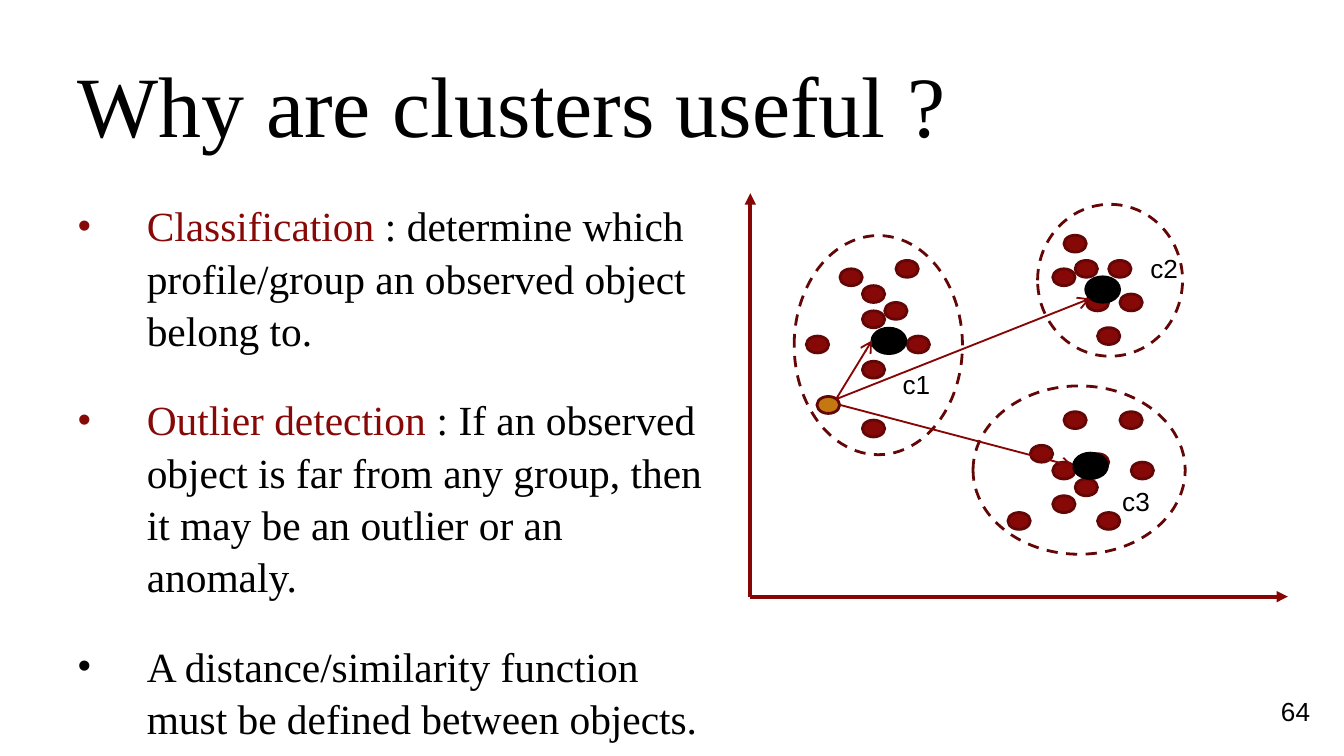
from typing import NamedTuple

from lxml import etree
from pptx import Presentation
from pptx import util as u
from pptx.dml.color import RGBColor
from pptx.enum import dml, shapes, text
from pptx.oxml.ns import qn

HUES = {"ink": "000000", "red": "860908", "dark": "630706", "line": "860605", "gold": "C47810"}
SERIF, SANS = "Times New Roman", "Arial"


class Box(NamedTuple):
    left: float
    top: float
    wide: float
    high: float


class Group(NamedTuple):
    name: str
    ring: Box
    core: Box
    label: Box
    start: tuple[float, float]
    end: tuple[float, float]
    dots: list[tuple[int, int]]


LEFT, TOP = 14.18, 3.65
COL, ROW, CELLS = 2.54 / 12, 2.54 / 16, 48
SEEN = Box(15.44, 7.49, 0.43, 0.32)

GROUPS = [
    Group("c1", Box(15.01, 4.45, 3.18, 4.14), Box(16.48, 6.2, 0.64, 0.48),
          Box(16.81, 6.83, 1.04, 0.86), (15.8, 7.54), (16.48, 6.43),
          [(8, 9), (5, 17), (10, 27), (10, 14), (10, 20), (14, 17),
           (10, 11), (12, 13), (13, 8)]),
    Group("c2", Box(19.61, 3.86, 2.74, 2.87), Box(20.52, 5.23, 0.64, 0.48),
          Box(21.49, 4.65, 1.04, 0.86), (15.8, 7.54), (20.6, 5.64),
          [(27, 9), (30, 12), (32, 8), (31, 16), (28, 5), (29, 8), (33, 12)]),
    Group("c3", Box(18.39, 7.29, 4.01, 3.18), Box(20.29, 8.56, 0.64, 0.48),
          Box(20.96, 9.04, 1.04, 0.86), (15.88, 7.65), (20.29, 8.81),
          [(28, 26), (25, 30), (30, 31), (34, 32), (31, 38), (33, 26),
           (27, 36), (27, 32), (29, 34), (23, 38)]),
]

POINTS = [
    [("Classification", "red"),
     (" : determine which profile/group an observed object belong to.", "ink")],
    [("Outlier detection ", "red"),
     (": If an observed object is far from any group, then it may be an outlier or an anomaly.",
      "ink")],
    [("A distance/similarity function must be defined between objects.", "ink")],
]


def tint(name: str) -> RGBColor:
    return RGBColor.from_string(HUES[name])


def apply(item, form: dict) -> None:
    for key, value in form.items():
        setattr(item, key, value)


def place(shape, box: Box) -> None:
    apply(shape, dict(zip(("left", "top", "width", "height"), map(u.Cm, box))))


def write(para, words: str, size: float, face: str, hue: str = "ink") -> None:
    run = para.add_run()
    run.text = words
    apply(run.font, {"size": u.Pt(size), "name": face})
    run.font.color.rgb = tint(hue)


def oval(slide, box: Box, edge: str, fill: str | None = None):
    shape = slide.shapes.add_shape(shapes.MSO_SHAPE.OVAL, *map(u.Cm, box))
    shape.shadow.inherit = False
    if fill:
        shape.fill.solid()
        shape.fill.fore_color.rgb = tint(fill)
    else:
        shape.fill.background()
        shape.line.dash_style = dml.MSO_LINE.DASH
    shape.line.color.rgb = tint(edge)
    shape.line.width = u.Pt(1.5)
    return shape


def arrow(slide, start: tuple, end: tuple, width: float, head: str) -> None:
    link = slide.shapes.add_connector(
        shapes.MSO_CONNECTOR.STRAIGHT, *map(u.Cm, start + end))
    link.line.color.rgb = tint("line")
    link.line.width = u.Pt(width)
    etree.SubElement(link.line._get_or_add_ln(), qn("a:tailEnd"), type=head)
    etree.SubElement(link._element.spPr, qn("a:effectLst"))


def label(slide, box: Box, words: str, form: dict):
    frame = slide.shapes.add_textbox(*map(u.Cm, box)).text_frame
    apply(frame, form)
    write(frame.paragraphs[0], words, 14, SANS)
    return frame


def bullet(para) -> None:
    props = para._p.get_or_add_pPr()
    apply_to = {"marL": u.Cm(1.3), "indent": -u.Cm(1.3)}
    for key, value in apply_to.items():
        props.set(key, str(int(value)))
    etree.SubElement(props, qn("a:buSzPct"), val="90000")
    etree.SubElement(props, qn("a:buChar"), char="•")


def fill_text(slide) -> None:
    title, body = slide.shapes.title, slide.placeholders[1]
    place(title, Box(1.22, 1.04, 21.64, 1.8))
    place(body, Box(1.22, 3.61, 12.37, 9.52))
    for shape, anchor in ((title, text.MSO_ANCHOR.MIDDLE), (body, text.MSO_ANCHOR.TOP)):
        apply(shape.text_frame, {"vertical_anchor": anchor, "word_wrap": True,
                                 "auto_size": text.MSO_AUTO_SIZE.NONE})
    head = title.text_frame.paragraphs[0]
    head.alignment = text.PP_ALIGN.LEFT
    write(head, "Why are clusters useful ?", 46, SERIF)
    frame = body.text_frame
    for rank, parts in enumerate(POINTS):
        para = frame.add_paragraph() if rank else frame.paragraphs[0]
        bullet(para)
        apply(para, {"space_before": u.Pt(20 if rank else 0), "line_spacing": 1.05})
        for words, hue in parts:
            write(para, words, 22.2, SERIF, hue)


def draw_plot(slide) -> None:
    base = (LEFT, TOP + CELLS * ROW)
    for end in ((LEFT, TOP), (LEFT + CELLS * COL, base[1])):
        arrow(slide, base, end, 2, "triangle")
    for group in GROUPS:
        for col, row in group.dots:
            spot = Box(LEFT + col * COL, TOP + row * ROW, 2 * COL, 2 * ROW)
            oval(slide, spot, "dark", "red")
    for group in GROUPS:
        oval(slide, group.ring, "dark")
    for group in GROUPS:
        oval(slide, group.core, "ink", "ink")
    oval(slide, SEEN, "dark", "gold")
    for group in GROUPS:
        arrow(slide, group.start, group.end, 1, "arrow")
    for group in GROUPS:
        label(slide, group.label, group.name, {"word_wrap": False})


def main() -> None:
    deck = Presentation()
    apply(deck, {"slide_width": u.Cm(25.4), "slide_height": u.Cm(14.28)})
    slide = deck.slides.add_slide(deck.slide_layouts[1])
    fill_text(slide)
    draw_plot(slide)
    page = label(slide, Box(20.9, 13.13, 4.11, 0.61), "64",
                 {"word_wrap": True, "vertical_anchor": text.MSO_ANCHOR.MIDDLE})
    page.paragraphs[0].alignment = text.PP_ALIGN.RIGHT
    deck.save("out.pptx")


if __name__ == "__main__":
    main()
